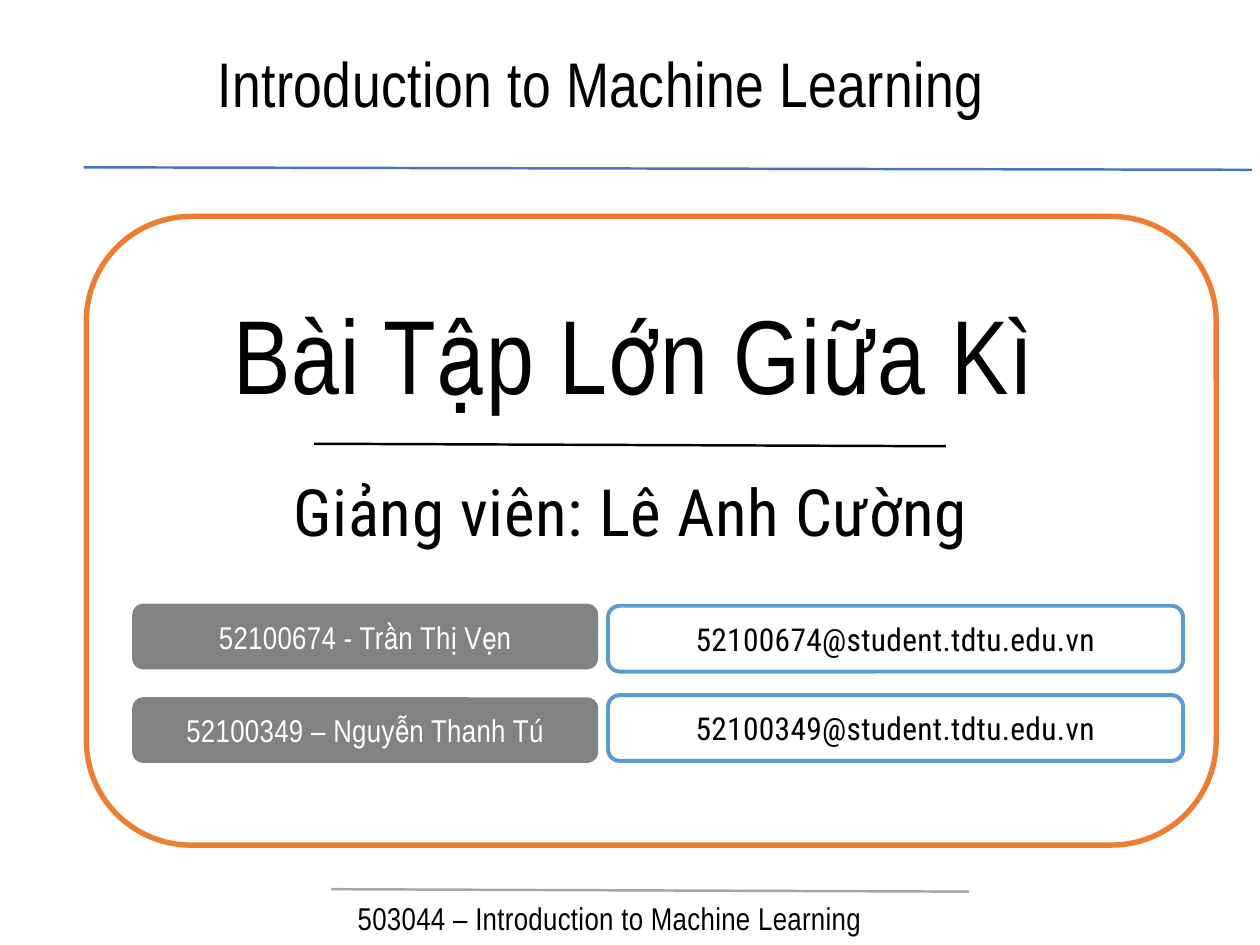
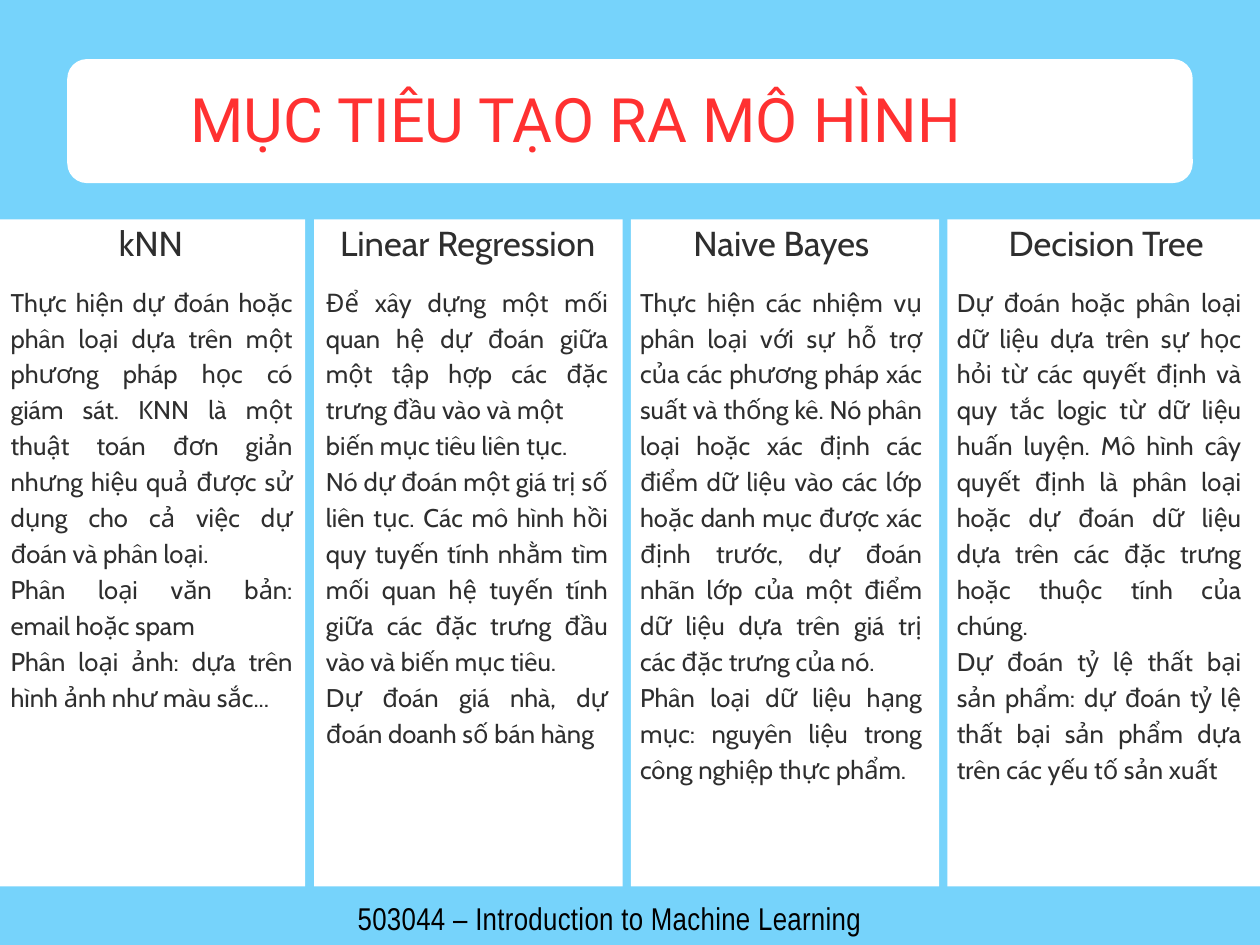
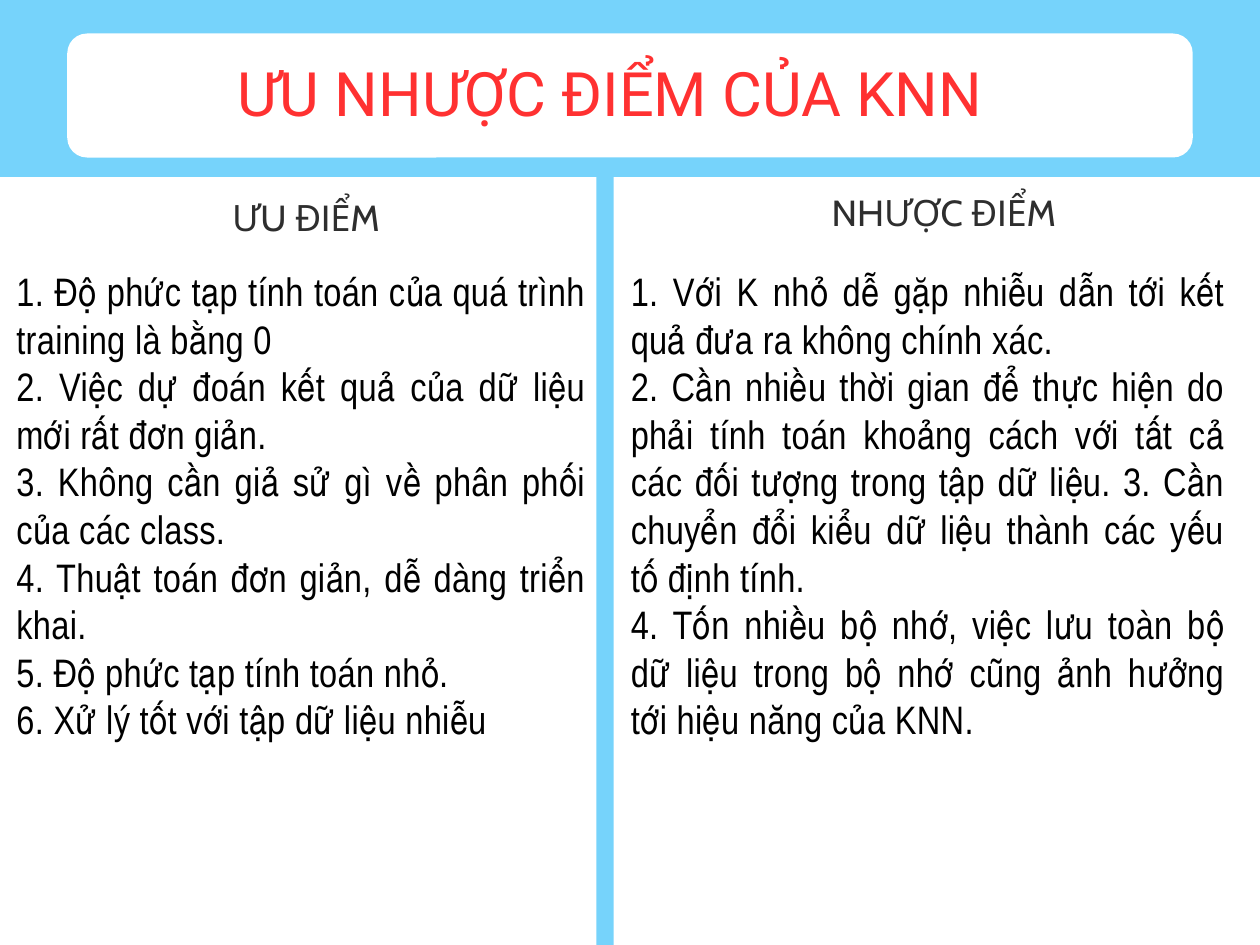
from lxml import etree
from pptx import Presentation
from pptx.dml.color import RGBColor
from pptx.enum.shapes import MSO_CONNECTOR, MSO_SHAPE
from pptx.enum.text import MSO_ANCHOR, PP_ALIGN as Align
from pptx.oxml.ns import qn
from pptx.util import Pt

# Shared look
COLOURS = {
    "white": "FFFFFF", "black": "000000", "sky": "76D3FB", "red": "FF3131",
    "ink": "2E2E2E", "rule": "4472C4", "grey": "A5A5A5",
    "orange": "ED7D31", "blue": "5B9BD5",
}
SLIDE_W, SLIDE_H = 768, 576
NARROW, CONDENSED = "Arial Narrow", "Roboto Condensed"

# Style: font, size, colour, line spacing, letter spacing, alignment
STYLES = {
    "course": (NARROW, 38.4, "black", 46.1, 0.3, Align.LEFT),
    "assignment": (NARROW, 64, "black", 76.8, 0.6, Align.CENTER),
    "lecturer": (CONDENSED, 39.7, "black", 47.6, 0.4, Align.CENTER),
    "student": (NARROW, 19.2, "white", 23, 0.2, Align.CENTER),
    "email": (CONDENSED, 19.2, "black", 23, 0.2, Align.CENTER),
    "footer": (NARROW, 19.2, "black", 23, 0.2, Align.LEFT),
    "title": ("Roboto", 37.3, "red", 37.3, 0, Align.LEFT),
    "model": ("Cabin", 21.1, "ink", 29.5, 0, Align.CENTER),
    "goal": ("Cabin", 15.6, "ink", 21.9, 0, Align.JUSTIFY),
    "side": ("Cabin", 22.1, "ink", 30.9, 0, Align.CENTER),
    "point": (NARROW, 24.2, "black", 29, 0.2, Align.JUSTIFY),
}

# Content
FOOTER = "503044 – Introduction to Machine Learning"
COURSE = "Introduction to Machine Learning"
ASSIGNMENT = "Bài Tập Lớn Giữa Kì"
LECTURER = "Giảng viên: Lê Anh Cường"
# Student, e-mail, top of the student pill, top of the e-mail pill
STUDENTS = [
    ("52100674 - Trần Thị Vẹn", "52100674@student.tdtu.edu.vn", 368, 368),
    ("52100349 – Nguyễn Thanh Tú", "52100349@student.tdtu.edu.vn", 425, 422.5),
]

# Columns: panel (left, width), heading, heading box (left, top, width),
# text (left, width), paragraphs
MODELS = [
    ((0, 186), "kNN", (69.8, 131, 44.6), (6.5, 172), [
        "Thực hiện dự đoán hoặc phân loại dựa trên một phương pháp học có giám sát. "
        "KNN là một thuật toán đơn giản nhưng hiệu quả được sử dụng cho cả việc dự "
        "đoán và phân loại.",
        "Phân loại văn bản:\vemail hoặc spam",
        "Phân loại ảnh: dựa trên hình ảnh như màu sắc..."]),
    ((191.5, 188), "Linear Regression", (193.7, 131, 182.9), (198.7, 172), [
        "Để xây dựng một mối quan hệ dự đoán giữa một tập hợp các đặc trưng đầu vào "
        "và một",
        "biến mục tiêu liên tục.",
        "Nó dự đoán một giá trị số liên tục. Các mô hình hồi quy tuyến tính nhằm tìm "
        "mối quan hệ tuyến tính giữa các đặc trưng đầu vào và biến mục tiêu.",
        "Dự đoán giá nhà, dự đoán doanh số bán hàng"]),
    ((384.5, 188), "Naive Bayes", (413.3, 131, 126), (390.2, 172), [
        "Thực hiện các nhiệm vụ phân loại với sự hỗ trợ của các phương pháp xác suất "
        "và thống kê. Nó phân loại hoặc xác định các điểm dữ liệu vào các lớp hoặc "
        "danh mục được xác định trước, dự đoán nhãn lớp của một điểm dữ liệu dựa trên "
        "giá trị các đặc trưng của nó.",
        "Phân loại dữ liệu hạng mục: nguyên liệu trong công nghiệp thực phẩm."]),
    ((577.5, 190.5), "Decision Tree", (604.1, 131, 140.4), (583.2, 173.5), [
        "Dự đoán hoặc phân loại dữ liệu dựa trên sự học hỏi từ các quyết định và quy "
        "tắc logic từ dữ liệu huấn luyện. Mô hình cây quyết định là phân loại hoặc dự "
        "đoán dữ liệu dựa trên các đặc trưng hoặc thuộc tính của chúng.",
        "Dự đoán tỷ lệ thất bại sản phẩm: dự đoán tỷ lệ thất bại sản phẩm dựa trên "
        "các yếu tố sản xuất"]),
]
KNN_SIDES = [
    ((0, 363.6), "ƯU ĐIỂM", (137.5, 114.5, 98), (10, 347), [
        "1. Độ phức tạp tính toán của quá trình training là bằng 0",
        "2. Việc dự đoán kết quả của dữ liệu mới rất đơn giản.",
        "3. Không cần giả sử gì về phân phối của các class.",
        "4. Thuật toán đơn giản, dễ dàng triển khai.",
        "5. Độ phức tạp tính toán nhỏ.",
        "6. Xử lý tốt với tập dữ liệu nhiễu"]),
    ((374, 394), "NHƯỢC ĐIỂM", (500.4, 111.6, 149.8), (384.5, 362), [
        "1. Với K nhỏ dễ gặp nhiễu dẫn tới kết quả đưa ra không chính xác.",
        "2. Cần nhiều thời gian để thực hiện do phải tính toán khoảng cách với tất cả "
        "các đối tượng trong tập dữ liệu. 3. Cần chuyển đổi kiểu dữ liệu thành các "
        "yếu tố định tính.",
        "4. Tốn nhiều bộ nhớ, việc lưu toàn bộ dữ liệu trong bộ nhớ cũng ảnh hưởng "
        "tới hiệu năng của KNN."]),
]


# Helpers
def rgb(name):
    return RGBColor.from_string(COLOURS[name])


def new_slide(background):
    slide = prs.slides.add_slide(prs.slide_layouts[6])
    slide.background.fill.solid()
    slide.background.fill.fore_color.rgb = rgb(background)
    return slide


def write(frame, paragraphs, style, inset=0, wrap=True):
    font, size, colour, leading, tracking, align = STYLES[style]
    frame.margin_left = frame.margin_right = Pt(inset)
    frame.margin_top = frame.margin_bottom = Pt(inset)
    frame.word_wrap = wrap
    frame.text = "\n".join(paragraphs)
    for paragraph in frame.paragraphs:
        paragraph.alignment = align
        paragraph.line_spacing = Pt(leading)
        for run in paragraph.runs:
            run.font.name, run.font.size = font, Pt(size)
            run.font.color.rgb = rgb(colour)
            if tracking:
                run._r.get_or_add_rPr().set("spc", str(round(tracking * 100)))


def add_text(slide, box, paragraphs, style, wrap=True):
    textbox = slide.shapes.add_textbox(*map(Pt, box))
    write(textbox.text_frame, paragraphs, style, wrap=wrap)


def add_line(slide, ends, colour):
    line = slide.shapes.add_connector(MSO_CONNECTOR.STRAIGHT, *map(Pt, ends))
    line.line.color.rgb = rgb(colour)
    line.line.width = Pt(1.5)
    etree.SubElement(line._element.spPr, qn("a:effectLst"))


def add_box(slide, box, fill=None, radius=0, outline=None, weight=0, opacity=None):
    """Outer bounds in; an outline is drawn inside them."""
    left, top, width, height = box
    box = (left + weight / 2, top + weight / 2, width - weight, height - weight)
    kind = MSO_SHAPE.ROUNDED_RECTANGLE if radius else MSO_SHAPE.RECTANGLE
    shape = slide.shapes.add_shape(kind, *map(Pt, box))
    shape.shadow.inherit = False
    if radius:
        shape.adjustments[0] = (radius - weight / 2) / min(box[2:])
    if fill:
        shape.fill.solid()
        shape.fill.fore_color.rgb = rgb(fill)
    else:
        shape.fill.background()
    if opacity:
        tint = shape._element.spPr.find(qn("a:solidFill"))[0]
        etree.SubElement(tint, qn("a:alpha")).set("val", str(opacity * 1000))
    if outline:
        shape.line.color.rgb = rgb(outline)
        shape.line.width = Pt(weight)
    else:
        shape.line.fill.background()
    return shape


def add_pill(slide, box, label, style, **look):
    pill = add_box(slide, box, **look)
    pill.text_frame.vertical_anchor = MSO_ANCHOR.MIDDLE
    write(pill.text_frame, [label], style, inset=4)


def add_footer(slide):
    add_text(slide, (218, 548, 378, 24.5), [FOOTER], "footer")


def add_title_card(slide, top, title, left, width):
    add_box(slide, (41, top, 686, 75.6), "white", radius=12)
    add_text(slide, (left, top + 20.8, width, 39), [title], "title")


def add_columns(slide, columns, top, bottom, text_top, heading_style, text_style):
    for (left, width), heading, (head_left, head_top, head_width), text, lines in columns:
        add_box(slide, (left, top, width, bottom - top), "white")
        add_text(slide, (head_left, head_top, head_width, 28.5), [heading],
                 heading_style, wrap=False)
        add_text(slide, (text[0], text_top, text[1], bottom - text_top - 40),
                 lines, text_style)


prs = Presentation()
prs.slide_width, prs.slide_height = Pt(SLIDE_W), Pt(SLIDE_H)

# Cover
cover = new_slide("white")
add_line(cover, (51, 102, 763, 103.5), "rule")
add_text(cover, (132.5, 27.4, 600, 47.5), [COURSE], "course")
add_line(cover, (202, 542, 590.5, 543.5), "grey")
add_footer(cover)
add_box(cover, (51, 130.3, 692, 386.5), radius=65.5, outline="orange", weight=3.3)
add_text(cover, (88, 176.4, 597.5, 78.5), [ASSIGNMENT], "assignment")
add_line(cover, (191.5, 270.5, 576.5, 272), "black")
add_text(cover, (129.6, 287.3, 510, 48), [LECTURER], "lecturer")
for student, email, student_top, email_top in STUDENTS:
    add_pill(cover, (80.6, student_top, 284, 40), student, "student",
             fill="black", radius=6.8, opacity=49)
    add_pill(cover, (369.4, email_top, 353, 42.5), email, "email",
             radius=8.4, outline="blue", weight=2.4)

# Goals of each model
goals = new_slide("sky")
add_title_card(goals, 36, "MỤC TIÊU TẠO RA MÔ HÌNH", 116, 558)
add_columns(goals, MODELS, 133.7, 540.3, 171.4, "model", "goal")
add_footer(goals)

# Strengths and weaknesses of KNN
knn = new_slide("sky")
add_title_card(knn, 20.4, "ƯU NHƯỢC ĐIỂM CỦA KNN", 144.7, 620)
add_columns(knn, KNN_SIDES, 108, SLIDE_H, 162.7, "side", "point")

prs.save("out.pptx")
